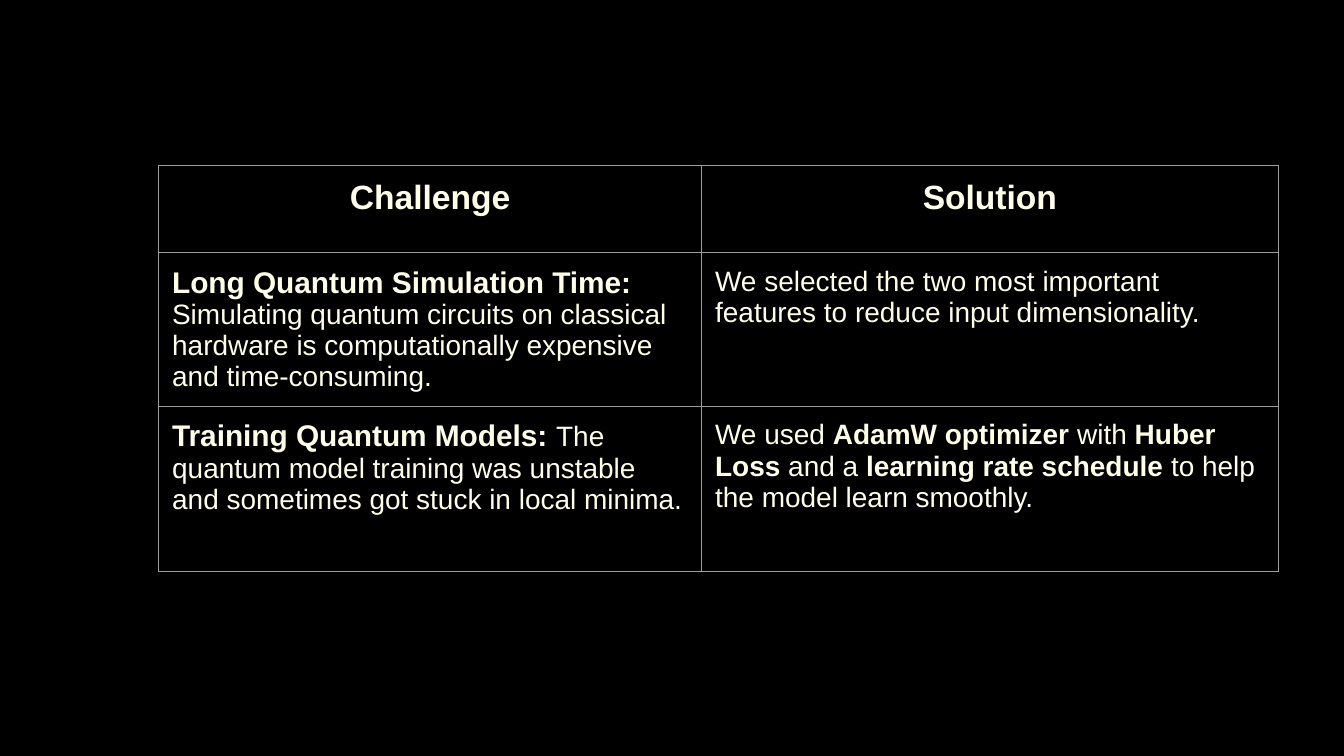
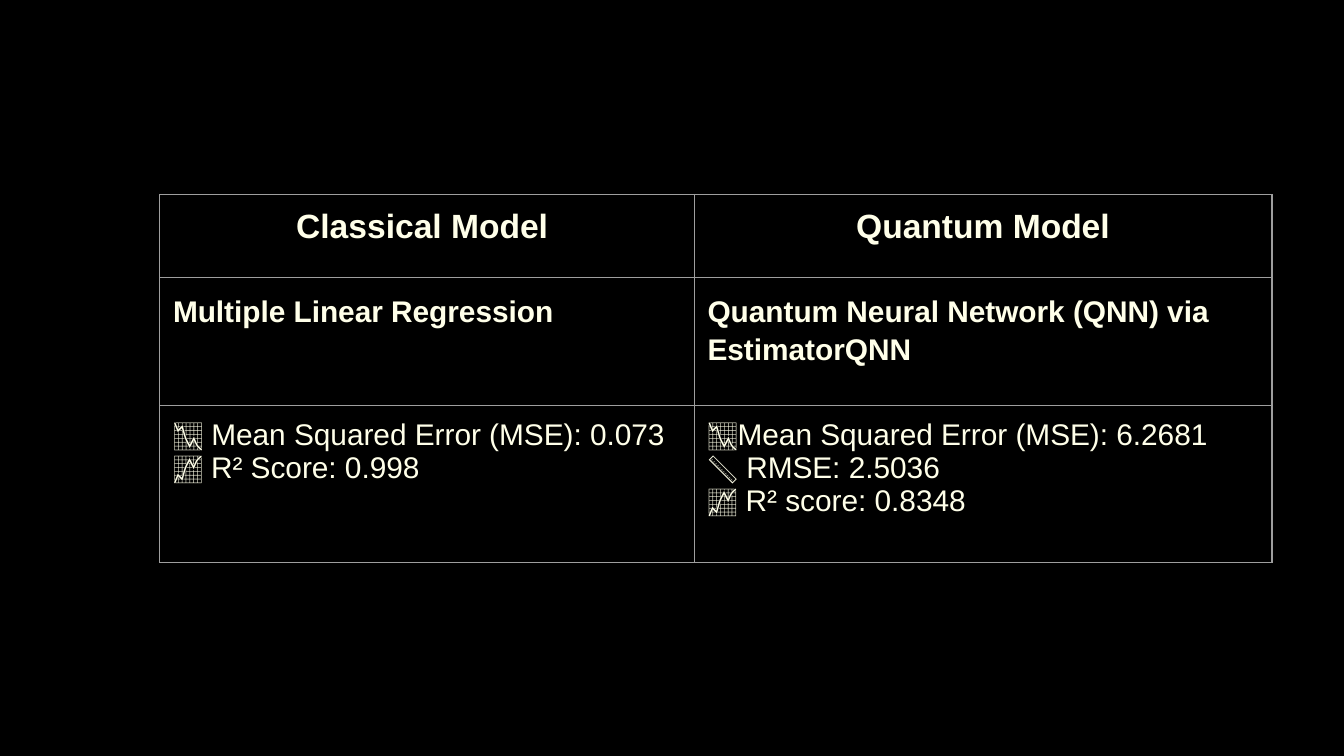
import pptx
import pptx.dml.color
import pptx.enum.text
import pptx.oxml
import pptx.oxml.ns
import pptx.util

Pt = pptx.util.Pt
INK = "FFFFE9"
BACK = "000000"
RULE = "9E9E9E"
FONT = "Arial"
HEAD, LEAD, BODY = 18, 16, 15


def tint(code):
    return pptx.dml.color.RGBColor.from_string(code)


class Deck:
    def __init__(self):
        self.file = pptx.Presentation()
        self.file.slide_width = Pt(720)
        self.file.slide_height = Pt(405)
        self.slide = None

    def page(self):
        self.slide = self.file.slides.add_slide(self.file.slide_layouts[6])
        fill = self.slide.background.fill
        fill.solid()
        fill.fore_color.rgb = tint(BACK)

    def edge(self, cell):
        space = pptx.oxml.ns.nsdecls("a")
        props = cell._tc.get_or_add_tcPr()
        for spot, side in enumerate("LRTB"):
            line = pptx.oxml.parse_xml(
                f'<a:ln{side} {space} w="{Pt(0.75)}"><a:solidFill>'
                f'<a:srgbClr val="{RULE}"/></a:solidFill></a:ln{side}>')
            props.insert(spot, line)

    def text(self, cell, lines, mid, lead):
        for num, runs in enumerate(lines):
            frame = cell.text_frame
            para = frame.add_paragraph() if num else frame.paragraphs[0]
            if mid:
                para.alignment = pptx.enum.text.PP_ALIGN.CENTER
            if lead:
                para.line_spacing = lead
            for words, size, bold in runs:
                run = para.add_run()
                run.text = words
                run.font.name = FONT
                run.font.size = Pt(size)
                run.font.bold = bold
                run.font.color.rgb = tint(INK)

    def table(self, left, top, wides, highs, cells, leads):
        frame = self.slide.shapes.add_table(
            len(highs), len(wides), Pt(left), Pt(top),
            Pt(sum(wides)), Pt(sum(highs)))
        grid = frame.table
        grid.first_row = grid.horz_banding = False
        for col, wide in zip(grid.columns, wides):
            col.width = Pt(wide)
        for row, high in zip(grid.rows, highs):
            row.height = Pt(high)
        for r, line in enumerate(cells):
            for c, lines in enumerate(line):
                cell = grid.cell(r, c)
                cell.margin_left = cell.margin_right = Pt(7.2)
                cell.margin_top = cell.margin_bottom = Pt(7.2)
                cell.fill.background()
                self.edge(cell)
                self.text(cell, lines, r == 0, leads[r])


def strong(words, size=LEAD):
    return words, size, True


def plain(words, size=BODY):
    return words, size, False


def score(*lines):
    return [[plain(words, LEAD)] for words in lines]


def main():
    deck = Deck()

    deck.page()
    deck.table(85, 88.6, [290.9, 308.9], [46.8, 74.9, 88.6], [
        [[[strong("Challenge", HEAD)]], [[strong("Solution", HEAD)]]],
        [[[strong("Long Quantum Simulation Time: "),
           plain("Simulating quantum circuits on classical hardware is "
                 "computationally expensive and time-consuming.")]],
         [[plain("We selected the two most important features to reduce "
                 "input dimensionality.")]]],
        [[[strong("Training Quantum Models: "),
           plain("The quantum model training was unstable and sometimes "
                 "got stuck in local minima.")]],
         [[plain("We used "), strong("AdamW optimizer", BODY),
           plain(" with "), strong("Huber Loss", BODY),
           plain(" and a "), strong("learning rate schedule", BODY),
           plain(" to help the model learn smoothly.")]]],
    ], [None, None, None])

    deck.page()
    deck.table(85.5, 104.2, [286.4, 309.6], [44.3, 68.6, 84.2], [
        [[[strong("Classical Model ", HEAD)]],
         [[strong("Quantum Model", HEAD)]]],
        [[[strong("Multiple Linear Regression")]],
         [[strong("Quantum Neural Network (QNN) via EstimatorQNN")]]],
        [score("📉 Mean Squared Error (MSE): 0.073", "📈 R² Score: 0.998"),
         score("📉Mean Squared Error (MSE): 6.2681", "📏 RMSE: 2.5036",
               "📈 R² score: 0.8348")],
    ], [None, 1.15, None])

    deck.file.save("out.pptx")


if __name__ == "__main__":
    main()
